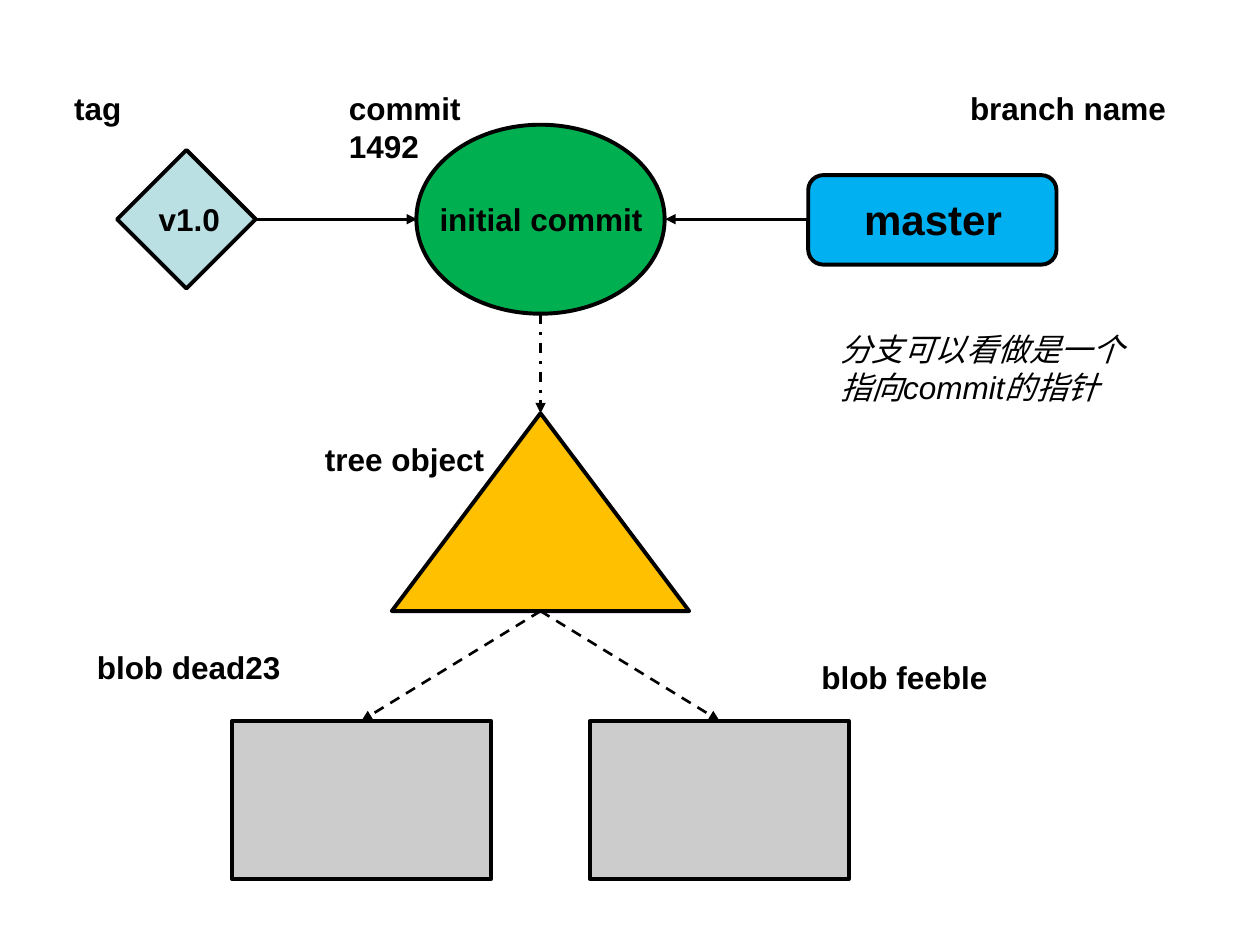
from lxml import etree
from pptx import Presentation
from pptx.dml.color import RGBColor
from pptx.enum import dml, shapes, text
from pptx.oxml.ns import qn
from pptx.util import Inches, Pt

COLORS = {
    "ink": "000000",
    "blob": "CCCCCC",
    "tree": "FFC000",
    "commit": "00B050",
    "branch": "00B0F0",
    "tag": "BBE0E3",
}
FONT = "Arial"
CENTER_X = 4.29
ROW_Y = 1.74
BLOB_TOP = 5.72
BLOB_WIDTH = 2.05
BLOB_OFFSET = 1.42


def color(name):
    return RGBColor.from_string(COLORS[name])


def add_node(slide, kind, center_x, top, width, height, fill):
    shape = slide.shapes.add_shape(
        kind, Inches(center_x - width / 2), Inches(top), Inches(width), Inches(height)
    )
    shape.shadow.inherit = False
    shape.fill.solid()
    shape.fill.fore_color.rgb = color(fill)
    shape.line.color.rgb = color("ink")
    shape.line.width = Pt(2.25)
    return shape


def add_arrow(slide, start, end, dash=None):
    connector = slide.shapes.add_connector(
        shapes.MSO_CONNECTOR.STRAIGHT, *(Inches(value) for value in start + end)
    )
    connector.line.color.rgb = color("ink")
    connector.line.width = Pt(1.5)
    if dash:
        connector.line.dash_style = dash
    properties = connector._element.spPr
    etree.SubElement(properties.find(qn("a:ln")), qn("a:tailEnd"), type="triangle")
    etree.SubElement(properties, qn("a:effectLst"))


def add_label(slide, left, top, width, height, content, size=18, italic=False,
              align=text.PP_ALIGN.LEFT):
    box = slide.shapes.add_textbox(Inches(left), Inches(top), Inches(width), Inches(height))
    frame = box.text_frame
    frame.word_wrap = True
    frame.auto_size = text.MSO_AUTO_SIZE.SHAPE_TO_FIT_TEXT
    frame.text = content
    for paragraph in frame.paragraphs:
        paragraph.alignment = align
        for run in paragraph.runs:
            run.font.name = FONT
            run.font.size = Pt(size)
            run.font.bold = not italic
            run.font.italic = italic
            run.font.color.rgb = color("ink")


def add_nodes(slide):
    kinds = shapes.MSO_SHAPE
    for side in (-1, 1):
        add_node(slide, kinds.RECTANGLE, CENTER_X + side * BLOB_OFFSET, BLOB_TOP,
                 BLOB_WIDTH, 1.26, "blob")
    add_node(slide, kinds.ISOSCELES_TRIANGLE, CENTER_X, 3.28, 2.36, 1.57, "tree")
    add_node(slide, kinds.OVAL, CENTER_X, 0.99, 1.97, 1.5, "commit")
    add_node(slide, kinds.ROUNDED_RECTANGLE, 7.4, 1.39, 1.97, 0.71, "branch")
    add_node(slide, kinds.DIAMOND, 1.48, 1.19, 1.1, 1.1, "tag")


def add_arrows(slide):
    for side in (-1, 1):
        add_arrow(slide, (CENTER_X, 4.85), (CENTER_X + side * BLOB_OFFSET, BLOB_TOP),
                  dml.MSO_LINE.DASH)
    add_arrow(slide, (CENTER_X, 2.49), (CENTER_X, 3.28), dml.MSO_LINE.DASH_DOT)
    add_arrow(slide, (6.42, ROW_Y), (5.28, ROW_Y))
    add_arrow(slide, (2.03, ROW_Y), (3.31, ROW_Y))


def add_labels(slide):
    add_label(slide, 6.54, 1.49, 1.73, 0.5, "master", size=24, align=text.PP_ALIGN.CENTER)
    add_label(slide, 2.67, 0.66, 1.1, 0.7, "commit\n1492")
    add_label(slide, 7.6, 0.66, 1.81, 0.4, "branch name")
    add_label(slide, 3.39, 1.54, 1.97, 0.4, "initial commit")
    add_label(slide, 0.49, 0.66, 0.71, 0.4, "tag")
    add_label(slide, 1.16, 1.54, 0.71, 0.4, "v1.0")
    add_label(slide, 6.57, 2.57, 2.52, 0.7, "分支可以看做是一个指向commit的指针", italic=True)
    add_label(slide, 2.48, 3.44, 1.49, 0.7, "tree object")
    add_label(slide, 0.67, 5.09, 1.81, 0.4, "blob dead23")
    add_label(slide, 6.42, 5.17, 1.81, 0.4, "blob feeble")


def main():
    presentation = Presentation()
    presentation.slide_width = Inches(10)
    presentation.slide_height = Inches(7.5)
    slide = presentation.slides.add_slide(presentation.slide_layouts[6])
    add_nodes(slide)
    add_arrows(slide)
    add_labels(slide)
    presentation.save("out.pptx")


if __name__ == "__main__":
    main()
